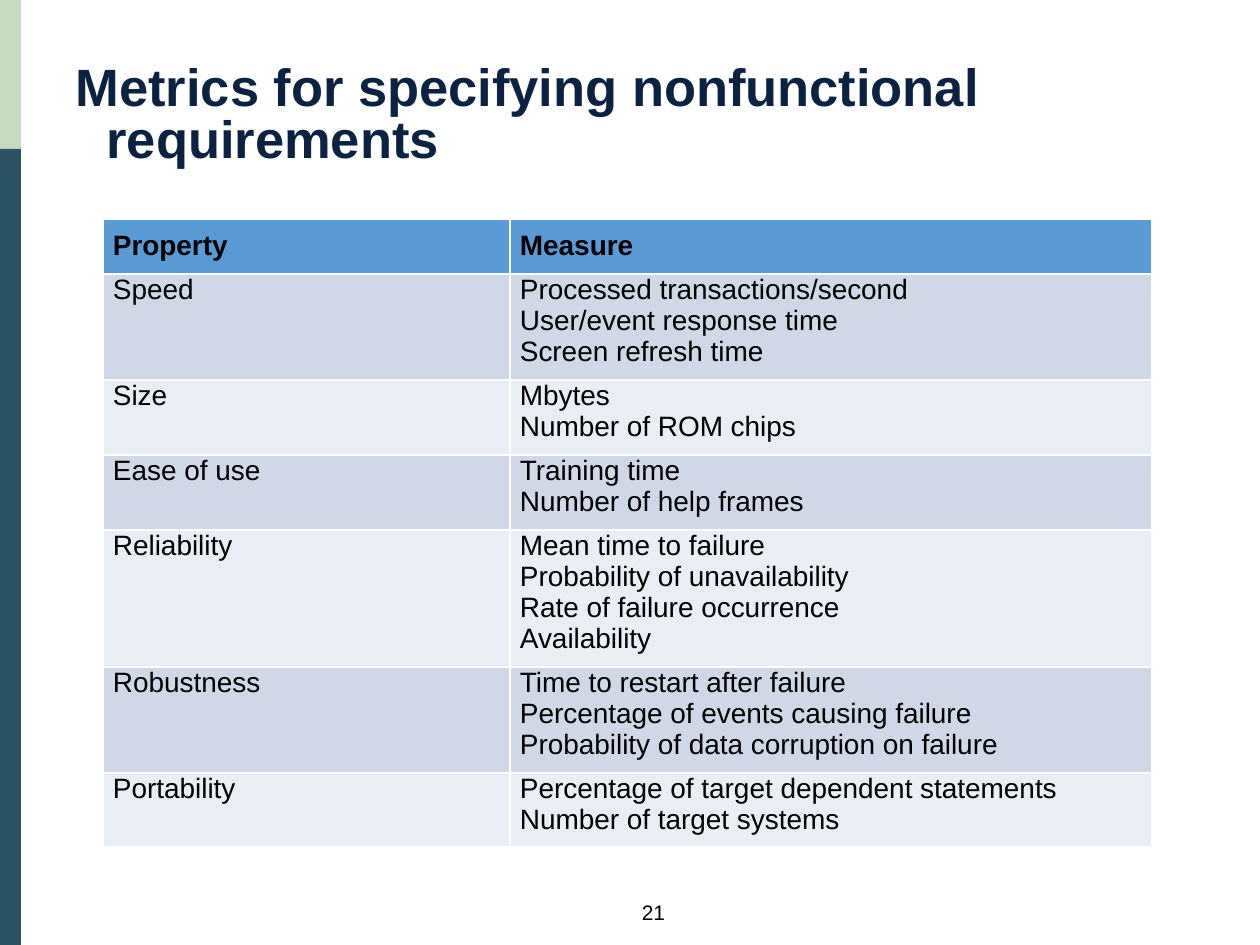
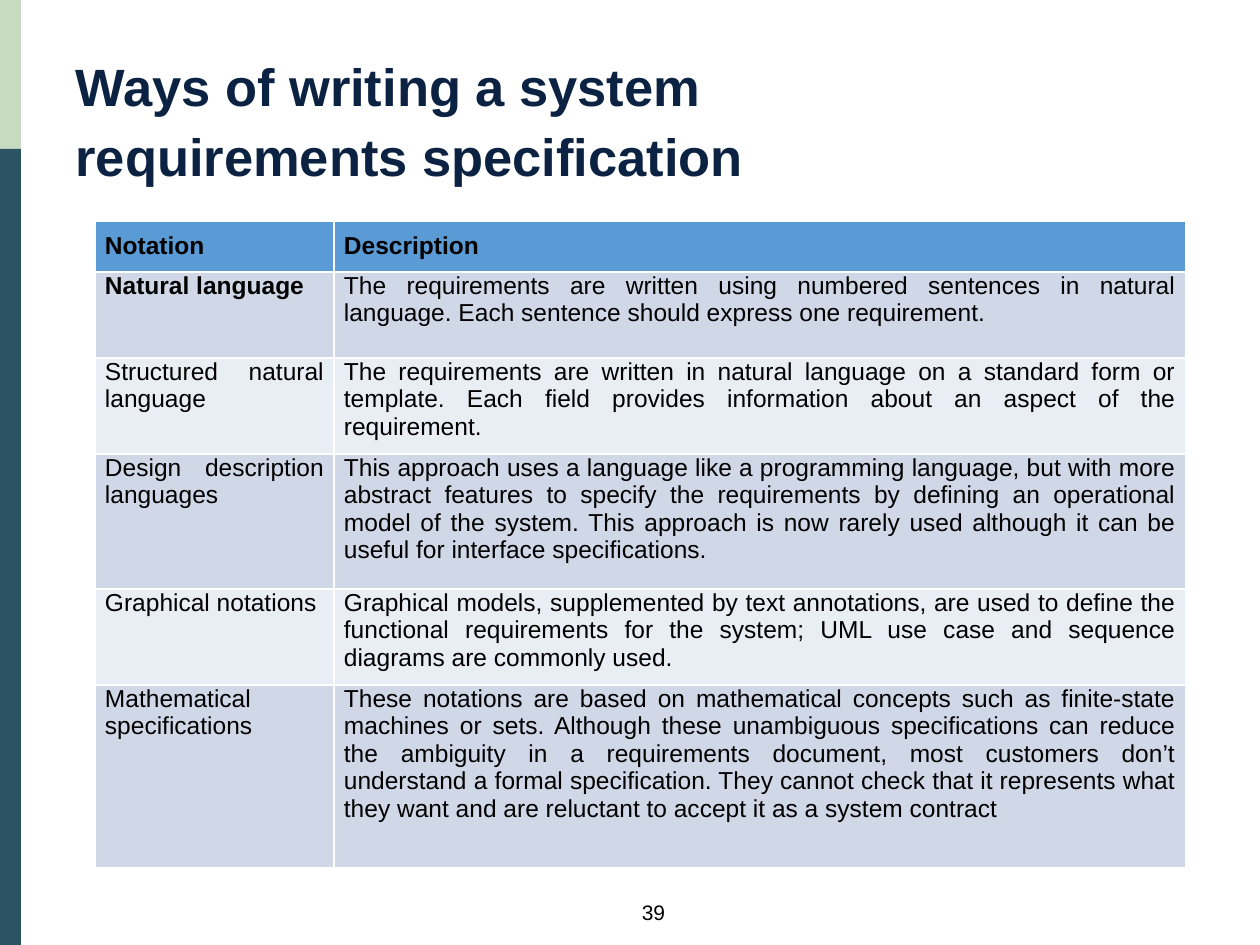
import pptx
import pptx.dml.color
import pptx.enum.shapes
import pptx.enum.text
import pptx.util

PX = 914400 / 126
SLIDE_BOX = (0, 0, 1260, 945)
NUMBER_BOX = (557, 893, 193, 38)
INSET = 10
HEADER_PAD, BOTTOM_PAD = 11, 3
TITLE_INDENT = 31
GREEN, TEAL, NAVY, BLACK = "C7DBC1", "2C5364", "0B2242", "000000"
HEADER_BLUE, BODY_FILLS = "5B9BD5", ("D0D8E8", "E9EDF4")
ALIGN = pptx.enum.text.PP_ALIGN

METRICS = [
    ("Property", "Measure"),
    ("Speed", "Processed transactions/second\nUser/event response time\nScreen refresh time"),
    ("Size", "Mbytes\nNumber of ROM chips"),
    ("Ease of use", "Training time\nNumber of help frames"),
    ("Reliability", "Mean time to failure\nProbability of unavailability\n"
                    "Rate of failure occurrence\nAvailability"),
    ("Robustness", "Time to restart after failure\nPercentage of events causing failure\n"
                   "Probability of data corruption on failure"),
    ("Portability", "Percentage of target dependent statements\nNumber of target systems"),
]

NOTATIONS = [
    ("Notation", "Description"),
    ("Natural language",
     "The requirements are written using numbered sentences in natural language. "
     "Each sentence should express one requirement."),
    ("Structured natural language",
     "The requirements are written in natural language on a standard form or template. "
     "Each field provides information about an aspect of the requirement."),
    ("Design description languages",
     "This approach uses a language like a programming language, but with more abstract "
     "features to specify the requirements by defining an operational model of the system. "
     "This approach is now rarely used although it can be useful for interface specifications."),
    ("Graphical notations",
     "Graphical models, supplemented by text annotations, are used to define the functional "
     "requirements for the system; UML use case and sequence diagrams are commonly used."),
    ("Mathematical specifications",
     "These notations are based on mathematical concepts such as finite-state machines or sets. "
     "Although these unambiguous specifications can reduce the ambiguity in a requirements "
     "document, most customers don’t understand a formal specification. They cannot check that "
     "it represents what they want and are reluctant to accept it as a system contract"),
]

PAGES = [
    {"title": "Metrics for specifying nonfunctional requirements", "title_box": (63, 58, 1014, 86),
     "number": "21", "rows": METRICS, "table_box": (103, 219, 1049, 628), "label_width": 407,
     "heights": (55, 106, 75, 75, 137, 106, 74), "size": 16, "bold_labels": ("Property",)},
    {"title": "Ways of writing a system\nrequirements specification", "title_box": (63, 58, 1053, 86),
     "number": "39", "rows": NOTATIONS, "table_box": (95, 221, 1091, 647), "label_width": 239,
     "heights": (51, 86, 96, 135, 96, 183), "size": 14,
     "bold_labels": ("Notation", "Natural language")},
]


def emu(px):
    return pptx.util.Emu(round(px * PX))


def place(box):
    return [emu(px) for px in box]


def rgb(value):
    return pptx.dml.color.RGBColor.from_string(value)


def apply(target, values):
    for name, value in values.items():
        setattr(target, name, value)


def write(frame, text, size, align, color=BLACK, bold=False):
    frame.text = text
    for paragraph in frame.paragraphs:
        paragraph.alignment = align
        for run in paragraph.runs:
            apply(run.font, {"name": "Arial", "size": pptx.util.Pt(size), "bold": bold})
            run.font.color.rgb = rgb(color)


def add_bands(slide, box):
    left, top, _, height = box
    split, width = 149, 21
    for offset, length, color in ((0, split, GREEN), (split, height - split, TEAL)):
        band = slide.shapes.add_shape(pptx.enum.shapes.MSO_SHAPE.RECTANGLE,
                                      *place((left, top + offset, width, length)))
        band.shadow.inherit = False
        band.fill.solid()
        band.fill.fore_color.rgb = rgb(color)
        band.line.fill.background()


def add_number(slide, box, number):
    frame = slide.shapes.add_textbox(*place(box)).text_frame
    frame.word_wrap = True
    write(frame, number, 12, ALIGN.CENTER)


def set_title(slide, box, text):
    title = slide.shapes.title
    apply(title, dict(zip(("left", "top", "width", "height"), place(box))))
    frame = title.text_frame
    apply(frame, {"word_wrap": True, "auto_size": pptx.enum.text.MSO_AUTO_SIZE.NONE,
                  "vertical_anchor": pptx.enum.text.MSO_ANCHOR.TOP})
    write(frame, text, 30, ALIGN.LEFT, NAVY, True)
    for index, paragraph in enumerate(frame.paragraphs):
        apply(paragraph, {"line_spacing": pptx.util.Pt(30),
                          "space_before": pptx.util.Pt(10 if index else 0)})
        properties = paragraph._p.get_or_add_pPr()
        properties.set("marL", str(emu(TITLE_INDENT)))
        properties.set("indent", str(-emu(TITLE_INDENT)))


def add_grid(slide, box, rows, label_width, heights, size, bold_labels):
    table = slide.shapes.add_table(len(rows), 2, *place(box)).table
    for column, width in zip(table.columns, (label_width, box[2] - label_width)):
        column.width = emu(width)
    for row, (texts, height) in enumerate(zip(rows, heights)):
        table.rows[row].height = emu(height)
        for column, text in enumerate(texts):
            cell = table.cell(row, column)
            apply(cell, {"margin_left": emu(INSET), "margin_right": emu(INSET),
                         "margin_top": emu(0 if row else HEADER_PAD),
                         "margin_bottom": emu(BOTTOM_PAD)})
            cell.fill.solid()
            cell.fill.fore_color.rgb = rgb(BODY_FILLS[(row - 1) % 2] if row else HEADER_BLUE)
            write(cell.text_frame, text, size, ALIGN.JUSTIFY,
                  bold=row == 0 or text in bold_labels)


def add_page(deck, page):
    slide = deck.slides.add_slide(deck.slide_layouts.get_by_name("Title Only"))
    add_number(slide, NUMBER_BOX, page["number"])
    add_bands(slide, SLIDE_BOX)
    set_title(slide, page["title_box"], page["title"])
    add_grid(slide, page["table_box"], page["rows"], page["label_width"],
             page["heights"], page["size"], page["bold_labels"])


def main():
    deck = pptx.Presentation()
    apply(deck, {"slide_width": emu(SLIDE_BOX[2]), "slide_height": emu(SLIDE_BOX[3])})
    for page in PAGES:
        add_page(deck, page)
    deck.save("out.pptx")


if __name__ == "__main__":
    main()
